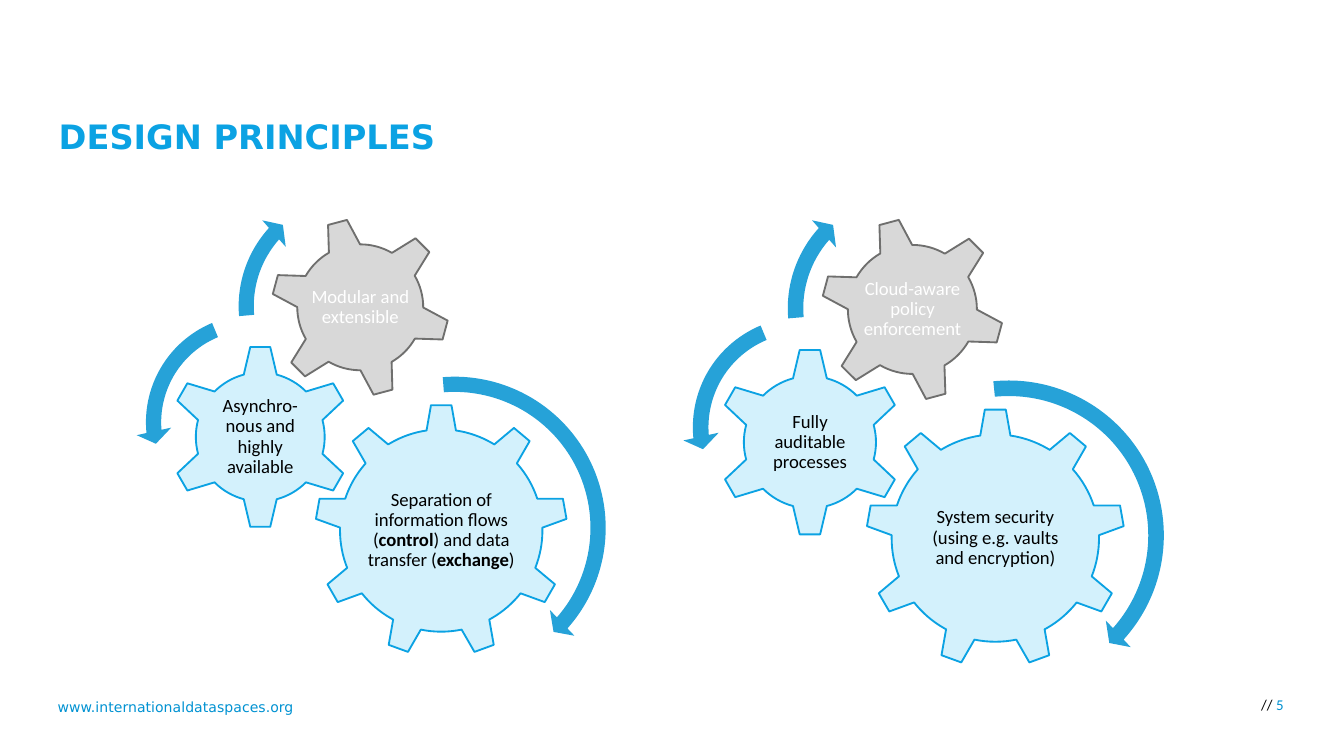
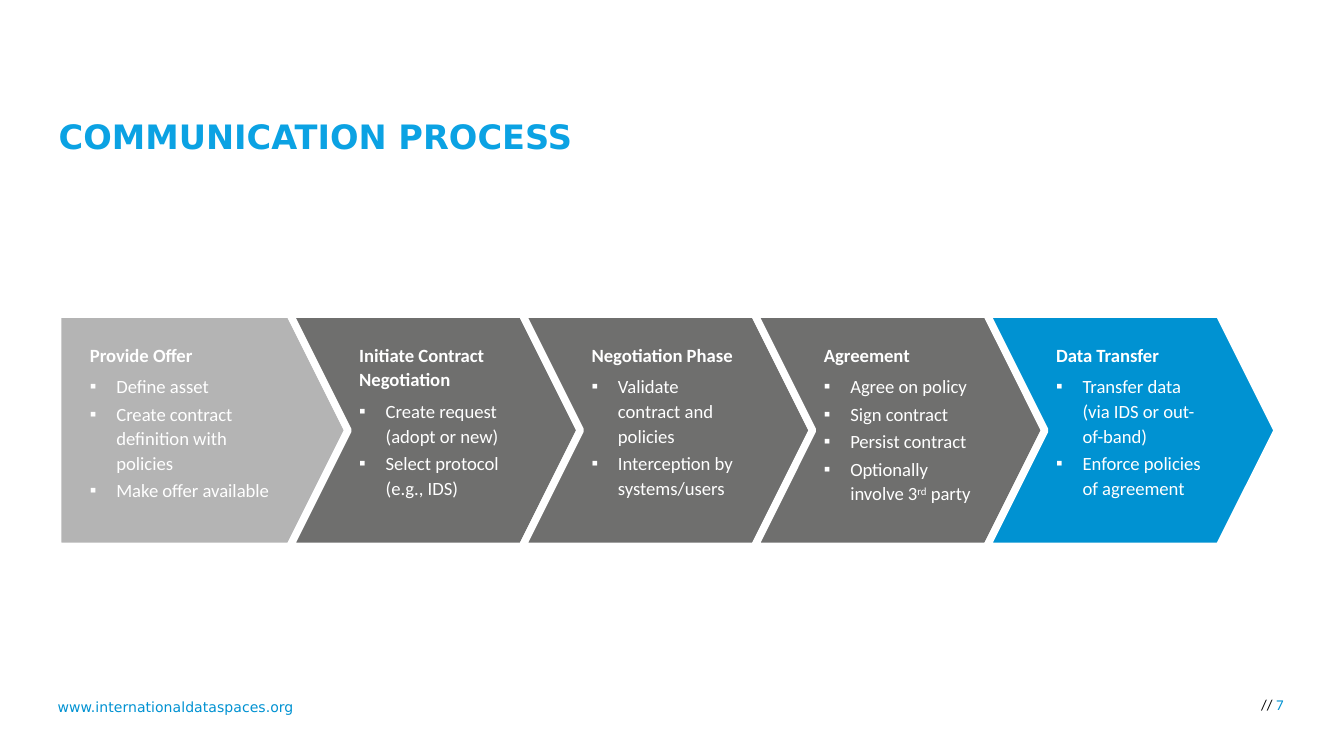
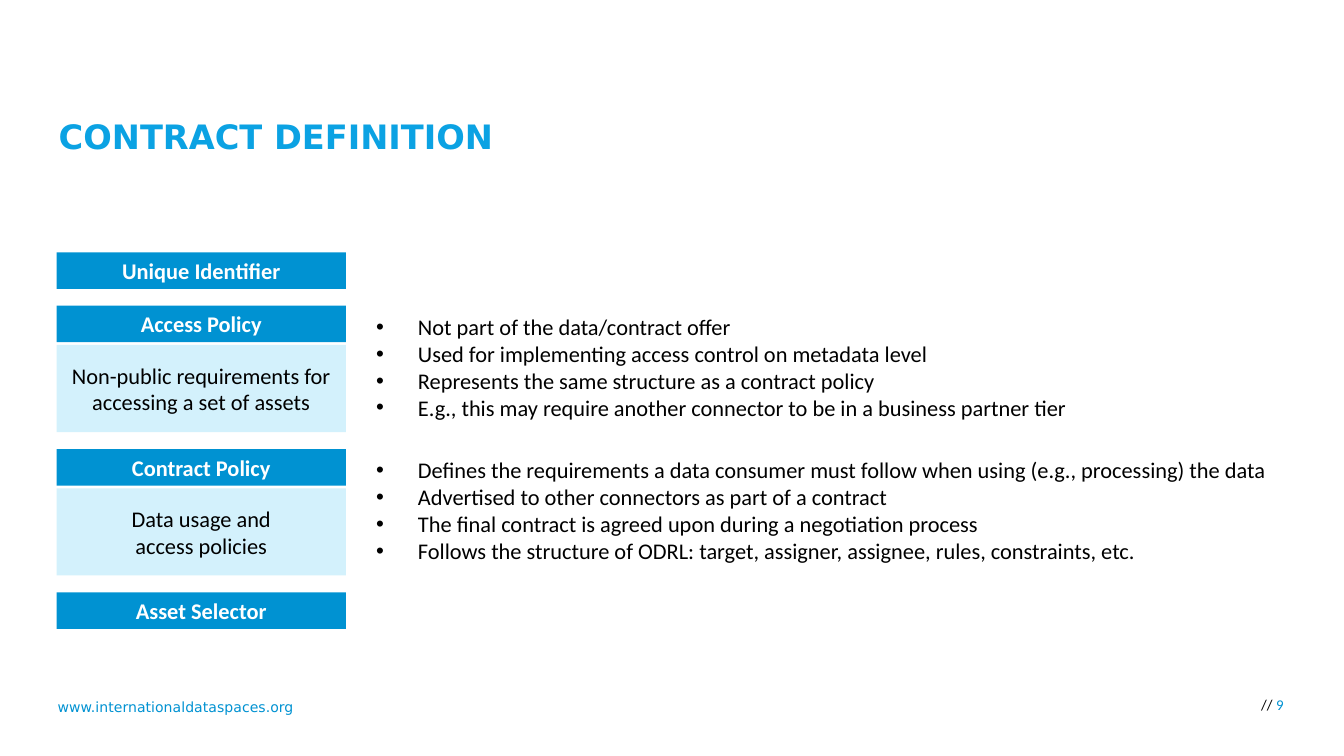
from pptx import Presentation
from pptx.dml.color import RGBColor
from pptx.enum.shapes import MSO_SHAPE
from pptx.enum.text import MSO_ANCHOR, PP_ALIGN
from pptx.oxml.ns import qn
from pptx.util import Cm, Pt
from lxml import etree

GEAR_6, GEAR_9 = MSO_SHAPE.GEAR_6, MSO_SHAPE.GEAR_9
RIGHT_TURN, LEFT_TURN = MSO_SHAPE.CIRCULAR_ARROW, MSO_SHAPE.LEFT_CIRCULAR_ARROW
PENTAGON, CHEVRON, RECTANGLE = MSO_SHAPE.PENTAGON, MSO_SHAPE.CHEVRON, MSO_SHAPE.RECTANGLE
TOP, MIDDLE, BOTTOM = MSO_ANCHOR.TOP, MSO_ANCHOR.MIDDLE, MSO_ANCHOR.BOTTOM
LEFT, CENTER, RIGHT = PP_ALIGN.LEFT, PP_ALIGN.CENTER, PP_ALIGN.RIGHT

BLUE, SKY, PALE = "0092D2", "0BA2E3", "D3F1FC"
GRAY, SILVER, LIGHT = "6F6F6E", "B4B4B4", "D8D8D8"
WHITE, BLACK = "FFFFFF", "000000"
BODY_FONT, HEAD_FONT = "Calibri", "DejaVu Sans"
DEFAULT_INSETS = (0.25, 0.13, 0.25, 0.13)

WEBSITE = "www.internationaldataspaces.org"

GEARS = [
    (GEAR_9, 3.38, 4.24, 4.78, 0, PALE, SKY, BLACK, (2.84, 2.46)),
    (GEAR_6, 0.61, 3.12, 3.48, 0, PALE, SKY, BLACK, (1.73, 1.7)),
    (GEAR_6, 2.54, 0.71, 3.4, 345, LIGHT, GRAY, WHITE, (1.91, 1.91)),
]
SIDE_ARROWS = [
    (LEFT_TURN, 0, 2.36, 4.45, (6.5, 7.17, 174.82, 247.3, 7.5)),
    (RIGHT_TURN, 1.75, 0, 4.78, (6, 6.57, 221.9, 175.14, 7)),
]
CLUSTERS = [
    {
        "origin": (2.57, 3.4),
        "scale": 1,
        "sweep": (41.4, 265.55),
        "labels": [
            [("Separation of information flows (", ""), ("control", "bold"),
             (") and data transfer (", ""), ("exchange", "bold"), (")", "")],
            "Asynchro-nous and highly available",
            "Modular and extensible",
        ],
    },
    {
        "origin": (12.9, 3.38),
        "scale": 6.25 / 6.1,
        "sweep": (41.99, 264.24),
        "labels": [
            "System security (using e.g. vaults and encryption)",
            "Fully auditable processes",
            "Cloud-aware policy enforcement",
        ],
    },
]

PHASES = [
    ("Provide Offer", SILVER,
     ["Define asset", "Create contract definition with policies", "Make offer available"]),
    ("Initiate Contract Negotiation", GRAY,
     ["Create request (adopt or new)", "Select protocol (e.g., IDS)"]),
    ("Negotiation Phase", GRAY,
     ["Validate contract and policies", "Interception by systems/users"]),
    ("Agreement", GRAY,
     ["Agree on policy", "Sign contract", "Persist contract",
      [("Optionally involve 3", ""), ("rd", "superscript"), (" party", "")]]),
    ("Data Transfer", BLUE,
     ["Transfer data (via IDS or out-of-band)", "Enforce policies of agreement"]),
]

BLOCKS = [
    ("Unique Identifier", [], []),
    ("Access Policy", ["Non-public requirements for accessing a set of assets"], [
        "Not part of the data/contract offer",
        "Used for implementing access control on metadata level",
        "Represents the same structure as a contract policy",
        "E.g., this may require another connector to be in a business partner tier",
    ]),
    ("Contract Policy", ["Data usage and", "access policies"], [
        "Defines the requirements a data consumer must follow when using "
        "(e.g., processing) the data",
        "Advertised to other connectors as part of a contract",
        "The final contract is agreed upon during a negotiation process",
        "Follows the structure of ODRL: target, assigner, assignee, rules, constraints, etc.",
    ]),
    ("Asset Selector", [], []),
]


def rgb(value):
    return RGBColor.from_string(value)


def add_runs(paragraph, content, size, color, bold=False, font=BODY_FONT):
    runs = [(content, "")] if isinstance(content, str) else content
    for text, mark in runs:
        run = paragraph.add_run()
        run.text = text
        run.font.name = font
        run.font.size = Pt(size)
        run.font.bold = bold or mark == "bold"
        run.font.color.rgb = rgb(color)
        if mark == "superscript":
            run.font._element.set("baseline", "30000")


def add_bullet(paragraph, symbol, indent, color):
    properties = paragraph._p.get_or_add_pPr()
    properties.set("marL", str(Cm(indent)))
    properties.set("indent", str(-Cm(indent)))
    bullet_color = etree.SubElement(properties, qn("a:buClr"))
    etree.SubElement(bullet_color, qn("a:srgbClr")).set("val", color)
    etree.SubElement(properties, qn("a:buFont")).set("typeface", "Arial")
    etree.SubElement(properties, qn("a:buChar")).set("char", symbol)


def prepare_frame(shape, anchor, insets=DEFAULT_INSETS):
    frame = shape.text_frame
    frame.word_wrap = True
    frame.vertical_anchor = anchor
    frame.margin_left, frame.margin_top, frame.margin_right, frame.margin_bottom = map(Cm, insets)
    return frame


def next_paragraph(frame, align=LEFT, spacing=1.0, after=0):
    first = frame.paragraphs[0]
    paragraph = frame.add_paragraph() if first.runs else first
    paragraph.alignment = align
    paragraph.line_spacing = spacing
    paragraph.space_after = Pt(after)
    return paragraph


def add_text_frame(shapes, box, anchor=TOP, insets=DEFAULT_INSETS):
    return prepare_frame(shapes.add_textbox(*map(Cm, box)), anchor, insets)


def add_figure(shapes, kind, box, fill, line=None, width=1):
    shape = shapes.add_shape(kind, *map(Cm, box))
    shape.shadow.inherit = False
    shape.fill.solid()
    shape.fill.fore_color.rgb = rgb(fill)
    if line:
        shape.line.color.rgb = rgb(line)
        shape.line.width = Pt(width)
    else:
        shape.line.fill.background()
    return shape


def add_slide(presentation, title, number):
    slide = presentation.slides.add_slide(presentation.slide_layouts[5])
    heading = slide.shapes.title
    heading.left, heading.top, heading.width, heading.height = map(Cm, (0.86, 1.45, 19.48, 1.65))
    paragraph = next_paragraph(prepare_frame(heading, BOTTOM), spacing=0.9)
    add_runs(paragraph, title, 18, SKY, True, HEAD_FONT)

    frame = add_text_frame(slide.shapes, (0.84, 13.08, 5.26, 0.58))
    add_runs(next_paragraph(frame), WEBSITE, 7.5, BLUE, font=HEAD_FONT)
    frame = add_text_frame(slide.shapes, (21.56, 13.16, 2.95, 0.48))
    paragraph = next_paragraph(frame, RIGHT, 0.6)
    add_runs(paragraph, "// ", 8, BLACK)
    add_runs(paragraph, str(number), 8, BLUE)
    return slide


def add_turn(shapes, kind, box, geometry):
    arrow = add_figure(shapes, kind, box, BLUE)
    thickness, head_angle, end, start, head = geometry
    values = (thickness / 100, head_angle * 0.6, end * 0.6, start * 0.6, head / 100)
    for index, value in enumerate(values):
        arrow.adjustments[index] = value
    color = arrow._element.spPr.find(qn("a:solidFill")).find(qn("a:srgbClr"))
    etree.SubElement(color, qn("a:alpha")).set("val", "85000")


def build_principles(presentation):
    slide = add_slide(presentation, "DESIGN PRINCIPLES", 5)
    for cluster in CLUSTERS:
        shapes = slide.shapes.add_group_shape().shapes
        scale = cluster["scale"]
        origin_x, origin_y = cluster["origin"]

        def place(x, y, width, height):
            return origin_x + x * scale, origin_y + y * scale, width * scale, height * scale

        for gear, label in zip(GEARS, cluster["labels"]):
            kind, x, y, size, rotation, fill, line, color, (width, height) = gear
            wheel = add_figure(shapes, kind, place(x, y, size, size), fill, line)
            wheel.rotation = rotation
            box = place(x + (size - width) / 2, y + (size - height) / 2, width, height)
            frame = add_text_frame(shapes, box, MIDDLE, (0.03,) * 4)
            add_runs(next_paragraph(frame, CENTER, 0.9, 3.5), label, 10, color)

        main_arrow = (RIGHT_TURN, 2.97, 3.53, 6.1, (4.7, 4.98, *cluster["sweep"], 5.5))
        for kind, x, y, size, geometry in [main_arrow, *SIDE_ARROWS]:
            add_turn(shapes, kind, place(x, y, size, size), geometry)


def build_process(presentation):
    slide = add_slide(presentation, "COMMUNICATION PROCESS", 7)
    shapes = slide.shapes.add_group_shape().shapes
    left, top, step, width, height = 1.09, 5.94, 4.39, 5.49, 4.39
    for index, (heading, fill, points) in enumerate(PHASES):
        x = left + index * step
        kind = CHEVRON if index else PENTAGON
        arrow = add_figure(shapes, kind, (x, top, width, height), fill, WHITE, 4)
        arrow.adjustments[0] = 0.25
        if index:
            box, insets = (x + 1.11, top, 3.3, height), (0.2, 0.51, 0.2, 0.08)
        else:
            box, insets = (x, top, 4.95, height), (0.61, 0.51, 0.76, 0.08)
        frame = add_text_frame(shapes, box, TOP, insets)
        add_runs(next_paragraph(frame, LEFT, 1.1, 3.75), heading, 10, WHITE, True)
        for point in points:
            paragraph = next_paragraph(frame, LEFT, 1.1, 1.5)
            paragraph.level = 1
            add_bullet(paragraph, "▪", 0.5, WHITE)
            add_runs(paragraph, point, 10, WHITE)


def build_contract(presentation):
    slide = add_slide(presentation, "CONTRACT DEFINITION", 9)
    left, top, width = 1.07, 4.77, 5.47
    bar_height, seam, detail_height, gap = 0.69, 0.05, 1.65, 0.32
    for heading, details, points in BLOCKS:
        bar = add_figure(slide.shapes, RECTANGLE, (left, top, width, bar_height), BLUE)
        frame = prepare_frame(bar, MIDDLE, (0.15,) * 4)
        add_runs(next_paragraph(frame, CENTER), heading, 12, WHITE, True)
        if points:
            frame = add_text_frame(slide.shapes, (6.86, top, 17.45, 2.31), MIDDLE)
            for point in points:
                paragraph = next_paragraph(frame)
                add_bullet(paragraph, "•", 0.79, BLACK)
                add_runs(paragraph, point, 12, BLACK)
        top += bar_height
        if details:
            box = (left, top + seam, width, detail_height)
            frame = prepare_frame(add_figure(slide.shapes, RECTANGLE, box, PALE), MIDDLE)
            for detail in details:
                add_runs(next_paragraph(frame, CENTER), detail, 12, BLACK)
            top += seam + detail_height
        top += gap


def main():
    presentation = Presentation()
    presentation.slide_width = Cm(25.4)
    presentation.slide_height = Cm(14.29)
    build_principles(presentation)
    build_process(presentation)
    build_contract(presentation)
    presentation.save("out.pptx")


if __name__ == "__main__":
    main()
